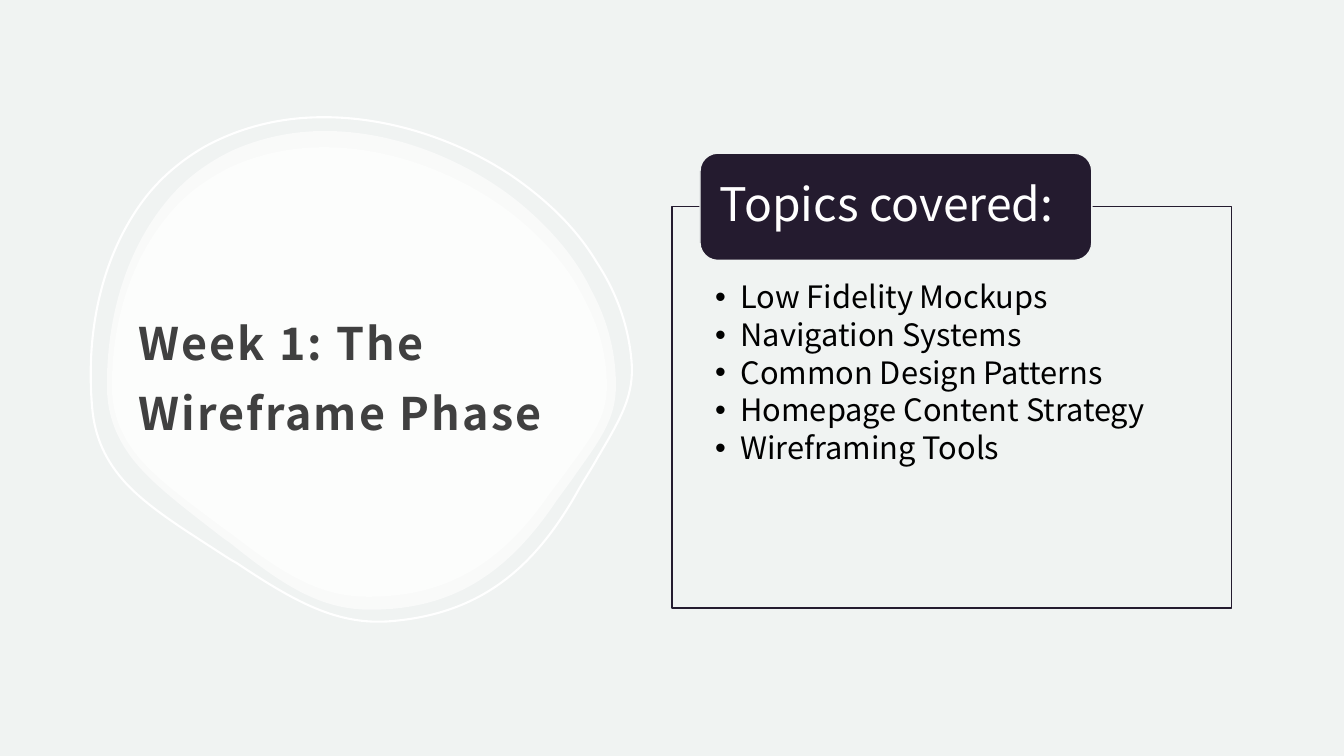
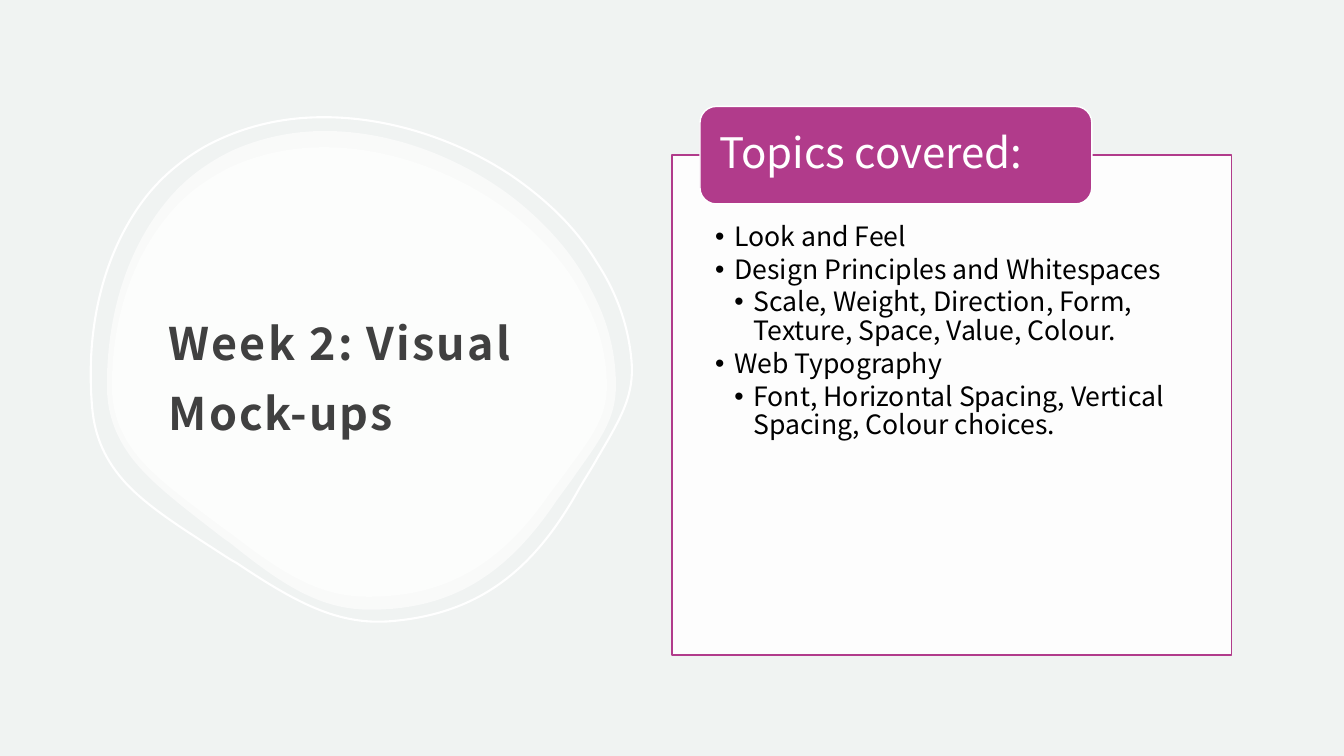
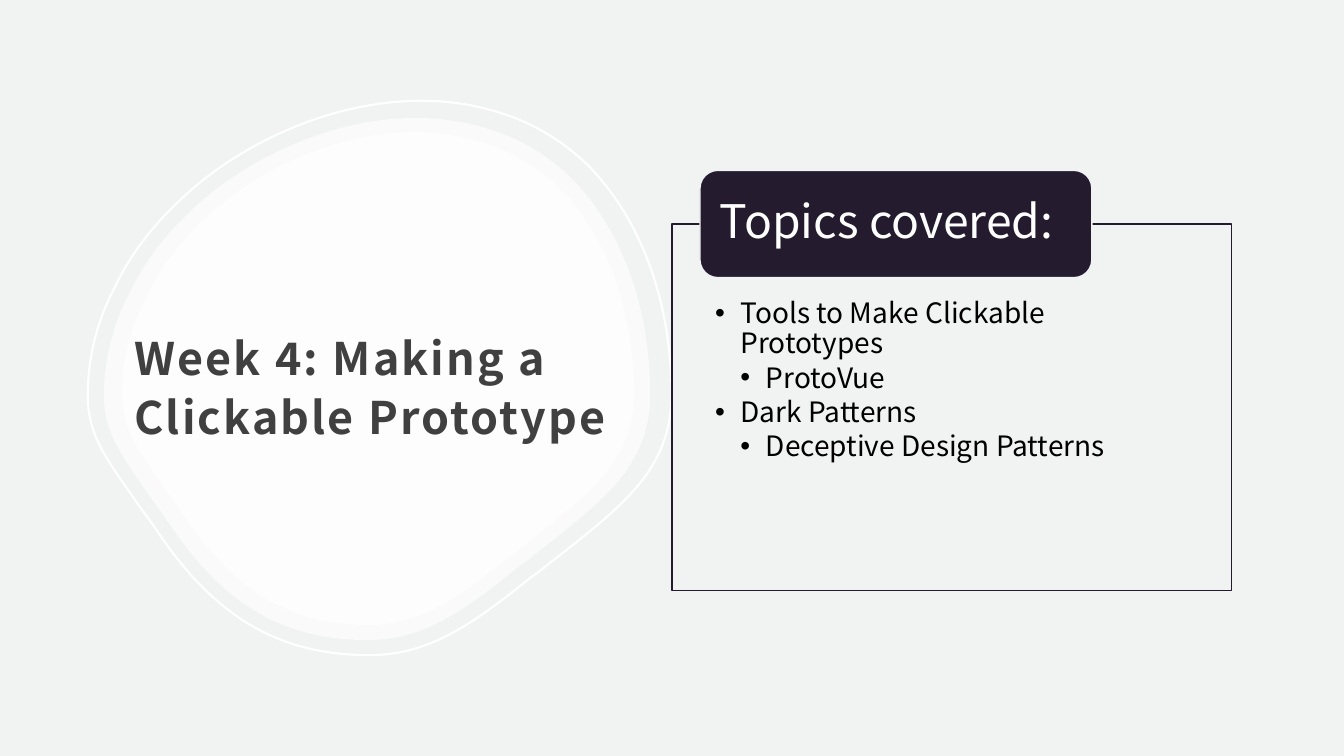
from lxml import etree
from pptx import Presentation
from pptx.dml.color import RGBColor
from pptx.enum.shapes import MSO_SHAPE
from pptx.enum.text import MSO_ANCHOR, PP_ALIGN
from pptx.oxml.ns import qn
from pptx.util import Inches, Pt

RECTANGLE = MSO_SHAPE.RECTANGLE
ROUNDED = MSO_SHAPE.ROUNDED_RECTANGLE
TOP, MIDDLE, BOTTOM = MSO_ANCHOR.TOP, MSO_ANCHOR.MIDDLE, MSO_ANCHOR.BOTTOM
LEFT = PP_ALIGN.LEFT

FONT, BULLET_FONT = "Noto Sans CJK JP", "Arial"
MIST, WHITE, BLACK = "F0F3F2", "FFFFFF", "000000"
PLUM, MAGENTA, CHARCOAL = "241B2F", "B13B8B", "404040"

PEBBLE_START = (42.8, 0)
PEBBLE_CURVES = [
    ((36.2, 0), (30.1, 1.5), (24.8, 4)),
    ((19.8, 6.5), (15.2, 10.1), (11.7, 14.7)),
    ((4.2, 24.4), (0, 37.9), (0, 53.1)),
    ((0, 58.9), (1.6, 63.8), (5.1, 68.6)),
    ((8.9, 73.7), (14.7, 78.3), (20.6, 83.2)),
    ((21.6, 84), (22.8, 85.1), (24, 85.9)),
    ((34.1, 94.5), (41.6, 100), (51.7, 100)),
    ((67.1, 100), (78.2, 93.3), (88.3, 77.3)),
    ((89.7, 75.2), (91.1, 73.3), (92.3, 71.4)),
    ((97.4, 63.8), (100, 59.8), (100, 53.1)),
    ((100, 46.3), (98.4, 39.6), (95.2, 33.3)),
    ((92.3, 26.9), (87.9, 21.3), (82.4, 16.2)),
    ((77, 11.2), (70.5, 7.2), (63.8, 4.4)),
    ((56.8, 1.5), (49.7, 0), (42.8, 0)),
]

LEFT_PEBBLE = {
    "outer": (7.95, 17.33, 37.88, 63.33),
    "inner": (8.33, 19.47, 36.83, 59.47),
    "ring": (6.68, 15.07, 40.28, 67.33),
    "tilt": -5,
}
MIRRORED_PEBBLE = {
    "outer": (7.73, 15.6, 40.65, 69.07),
    "inner": (9.08, 17.47, 38.1, 65.2),
    "ring": (6.53, 13.33, 43.43, 73.33),
    "mirrored": True,
}


def rgb(hex_colour):
    """Turn a hex string into a colour."""
    return RGBColor.from_string(hex_colour)


class Deck:
    """Holds the style and the current slide; lengths are percent of the slide."""

    def __init__(self):
        self.presentation = Presentation()
        self.presentation.slide_width = Inches(13.33)
        self.presentation.slide_height = Inches(7.5)
        self.slide = None

    def across(self, share):
        """Convert a share of the width to a length."""
        return round(self.presentation.slide_width * share / 100)

    def down(self, share):
        """Convert a share of the height to a length."""
        return round(self.presentation.slide_height * share / 100)

    def box(self, left, top, width, height):
        """Convert a box from shares to lengths."""
        return self.across(left), self.down(top), self.across(width), self.down(height)

    def new_slide(self):
        """Start a slide on the shared background."""
        self.slide = self.presentation.slides.add_slide(self.presentation.slide_layouts[6])
        self.slide.background.fill.solid()
        self.slide.background.fill.fore_color.rgb = rgb(MIST)

    def paint(self, shape, fill=None, opacity=100, line=None, line_width=1):
        """Set fill, opacity and outline, without a shadow."""
        shape.shadow.inherit = False
        if fill:
            shape.fill.solid()
            shape.fill.fore_color.rgb = rgb(fill)
            if opacity < 100:
                colour = shape.fill._xPr.find(qn("a:solidFill"))[0]
                etree.SubElement(colour, qn("a:alpha"), val=str(opacity * 1000))
        else:
            shape.fill.background()
        if line:
            shape.line.color.rgb = rgb(line)
            shape.line.width = Pt(line_width)
        else:
            shape.line.fill.background()

    def frame(self, shape, anchor, side, top=0, bottom=0):
        """Set wrapping, anchor and margins of a shape's text."""
        text_frame = shape.text_frame
        text_frame.word_wrap = True
        text_frame.vertical_anchor = anchor
        text_frame.margin_left = text_frame.margin_right = self.across(side)
        text_frame.margin_top = self.down(top)
        text_frame.margin_bottom = self.down(bottom)
        return text_frame

    def style(self, paragraph, size, colour, spacing, bold=False):
        """Format a paragraph and its runs."""
        paragraph.alignment = LEFT
        paragraph.line_spacing = spacing
        for run in paragraph.runs:
            run.font.name = FONT
            run.font.size = Pt(size)
            run.font.bold = bold
            run.font.color.rgb = rgb(colour)

    def outline(self, area, mirrored, **look):
        """Draw one curved pebble outline that fills an area."""
        left, top, width, height = self.box(*area)

        def place(point):
            """Convert a point of the pebble to lengths inside the area."""
            x, y = point
            return round(width * (100 - x if mirrored else x) / 100), round(height * y / 100)

        builder = self.slide.shapes.build_freeform(*place(PEBBLE_START))
        builder.add_line_segments([place(end) for _, _, end in PEBBLE_CURVES], close=True)
        shape = builder.convert_to_shape(left, top)
        segments = list(shape._element.iter(qn("a:lnTo")))
        for segment, curve in zip(segments, PEBBLE_CURVES):
            segment.tag = qn("a:cubicBezTo")
            segment.remove(segment[0])
            for x, y in map(place, curve):
                etree.SubElement(segment, qn("a:pt"), x=str(x), y=str(y))
        self.paint(shape, **look)
        return shape

    def pebble(self, outer, inner, ring, tilt=0, mirrored=False):
        """Draw two translucent pebbles and a ring around them."""
        for area in (outer, inner):
            self.outline(area, mirrored, fill=WHITE, opacity=60)
        self.outline(ring, mirrored, line=WHITE, line_width=1.5).rotation = tilt

    def title(self, text, area, anchor=MIDDLE, spacing=1.3):
        """Add the slide title."""
        title = self.slide.shapes.add_textbox(*self.box(*area))
        text_frame = self.frame(title, anchor, 0.86, 1.6, 1.33)
        text_frame.text = text
        self.style(text_frame.paragraphs[0], 32, CHARCOAL, spacing, bold=True)
        for run in text_frame.paragraphs[0].runs:
            run.font._element.set("spc", "150")

    def bullet(self, paragraph, level, indent):
        """Give a paragraph a bullet and a hanging indent."""
        paragraph.level = level
        properties = paragraph._p.get_or_add_pPr()
        properties.set("marL", str(self.across(indent * level)))
        properties.set("indent", str(-self.across(indent)))
        etree.SubElement(properties, qn("a:buFont"), typeface=BULLET_FONT)
        etree.SubElement(properties, qn("a:buChar"), char="•")

    def topics(self, items, top, height, size, label_size, indent, accent=PLUM, paper=MIST):
        """Add the topics panel with its label centred on the top edge."""
        left, width = 50, 41.65
        label_height = 0.43 * label_size
        panel = self.slide.shapes.add_shape(RECTANGLE, *self.box(left, top, width, height))
        self.paint(panel, paper, 90, accent)
        text_frame = self.frame(panel, TOP, 3.22, 0.7 * label_height, 2)
        text_frame.text = "\n".join(text for level, text in items)
        for paragraph, (level, text) in zip(text_frame.paragraphs, items):
            self.bullet(paragraph, level, indent)
            self.style(paragraph, size, BLACK, 0.9)
            paragraph.space_after = Pt(0.15 * size)

        label = self.slide.shapes.add_shape(
            ROUNDED,
            *self.box(left + 0.05 * width, top - label_height / 2, 0.7 * width, label_height),
        )
        self.paint(label, accent, line=paper)
        text_frame = self.frame(label, MIDDLE, 1.1)
        text_frame.text = "Topics covered:"
        self.style(text_frame.paragraphs[0], label_size, WHITE, 0.9)


def main():
    """Build the three weekly slides."""
    deck = Deck()

    deck.new_slide()
    deck.pebble(**LEFT_PEBBLE)
    deck.title("Week 1: The Wireframe Phase", (9.45, 27.33, 34.65, 42.8))
    wireframe_topics = [
        (1, "Low Fidelity Mockups"),
        (1, "Navigation Systems"),
        (1, "Common Design Patterns"),
        (1, "Homepage Content Strategy"),
        (1, "Wireframing Tools"),
    ]
    deck.topics(wireframe_topics, 27.35, 53.1, size=22, label_size=33, indent=1.88)

    deck.new_slide()
    deck.pebble(**LEFT_PEBBLE)
    deck.title("Week 2: Visual Mock-ups", (11.7, 27.33, 30.15, 42.8))
    visual_topics = [
        (1, "Look and Feel"),
        (1, "Design Principles and Whitespaces"),
        (2, "Scale, Weight, Direction, Form, Texture, Space, Value, Colour."),
        (1, "Web Typography"),
        (2, "Font, Horizontal Spacing, Vertical Spacing, Colour choices."),
    ]
    deck.topics(visual_topics, 20.53, 66.13, size=19, label_size=30, indent=1.43,
                accent=MAGENTA, paper=WHITE)

    deck.new_slide()
    deck.pebble(**MIRRORED_PEBBLE)
    deck.title("Week 4: Making a Clickable Prototype", (9.15, 40, 39.4, 20), BOTTOM, 1.1)
    prototype_topics = [
        (1, "Tools to Make Clickable Prototypes"),
        (2, "ProtoVue"),
        (1, "Dark Patterns"),
        (2, "Deceptive Design Patterns"),
    ]
    deck.topics(prototype_topics, 29.63, 48.5, size=20, label_size=33, indent=1.88)

    deck.presentation.save("out.pptx")


if __name__ == "__main__":
    main()
